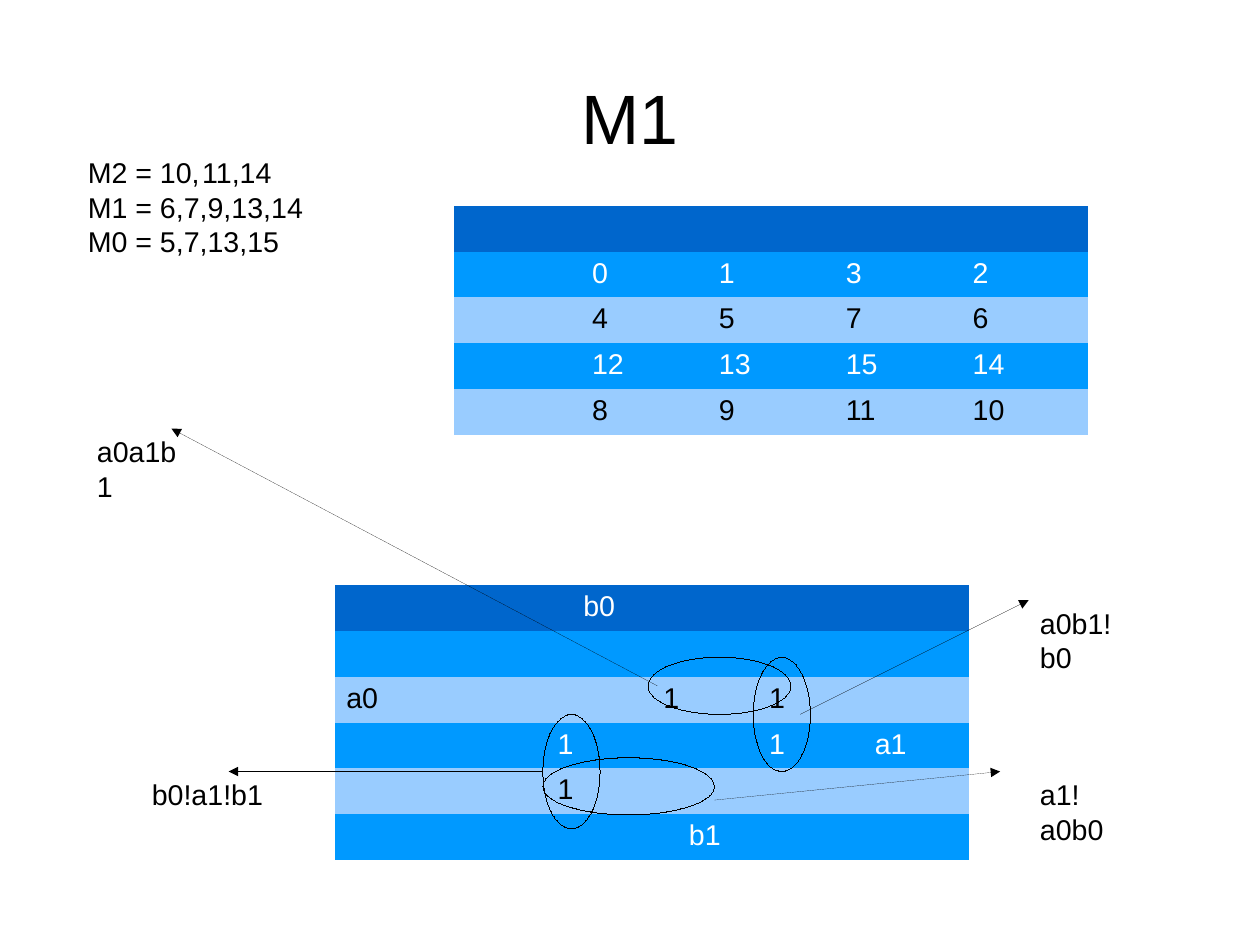
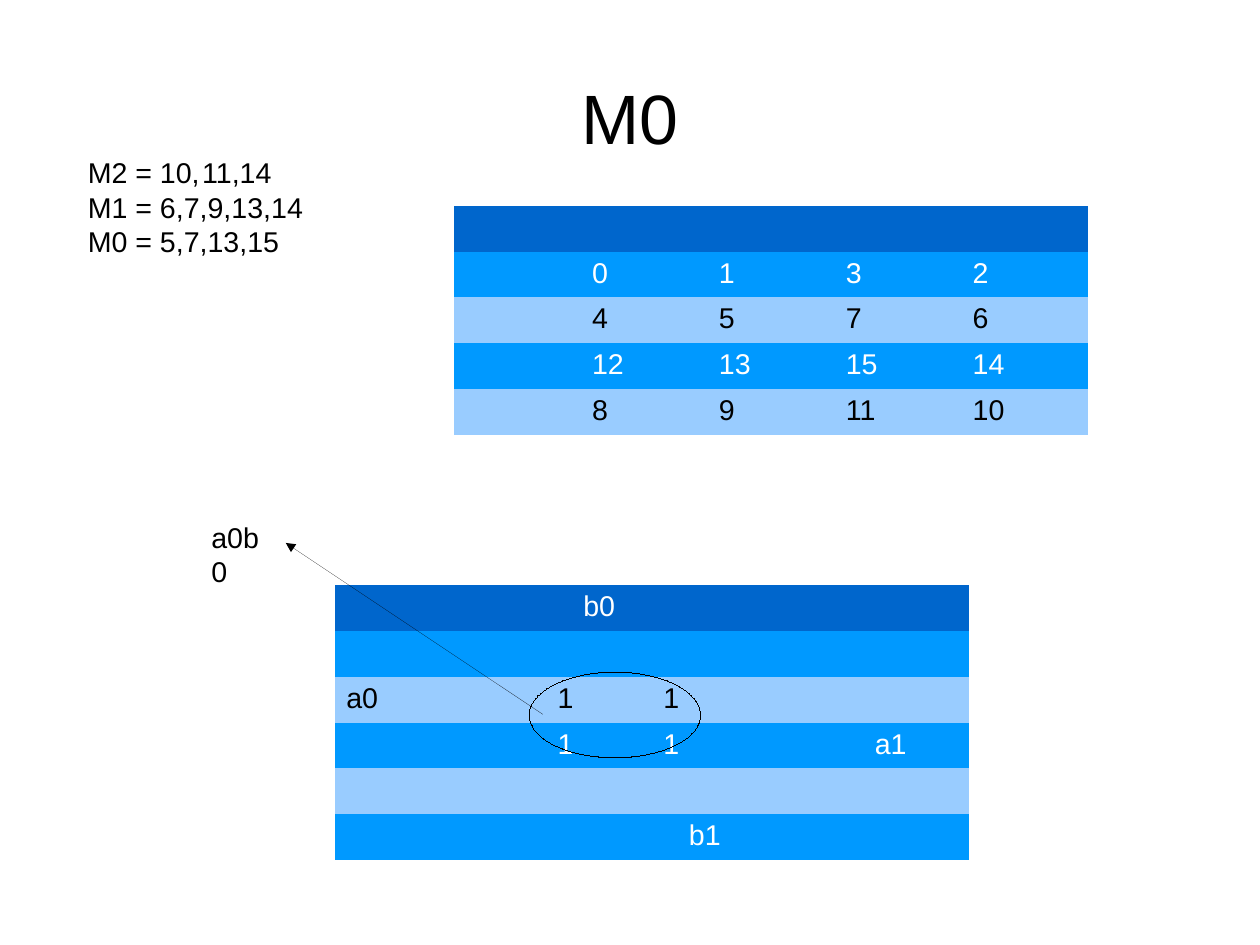
from lxml.etree import SubElement
from pptx import Presentation
from pptx.dml.color import RGBColor
from pptx.enum.shapes import MSO_CONNECTOR, MSO_SHAPE
from pptx.enum.text import MSO_ANCHOR, MSO_AUTO_SIZE, PP_ALIGN
from pptx.oxml.ns import qn
from pptx.util import Cm, Inches, Pt

BLACK = RGBColor(0x00, 0x00, 0x00)
WHITE = RGBColor(0xFF, 0xFF, 0xFF)
HEADER_BLUE = RGBColor(0x00, 0x66, 0xCC)
ROW_BLUE = RGBColor(0x00, 0x99, 0xFF)
PALE_BLUE = RGBColor(0x99, 0xCC, 0xFF)
PLAIN_TABLE_STYLE = "{2D5ABB26-0587-4C30-8999-92F81FD0307C}"
BODY = {"name": "Arial", "size": Pt(18)}
TITLE = {"name": "Arial", "size": Pt(44)}
LABEL_FRAME = {"word_wrap": False, "auto_size": MSO_AUTO_SIZE.SHAPE_TO_FIT_TEXT}
TITLE_FRAME = {
    "word_wrap": True,
    "auto_size": MSO_AUTO_SIZE.NONE,
    "vertical_anchor": MSO_ANCHOR.MIDDLE,
    "margin_left": 0,
    "margin_top": 0,
    "margin_right": 0,
    "margin_bottom": 0,
}
ROW_HEIGHT = 0.4

TITLE_BOX = (0.55, 0.38, 9.92, 1.28)
MINTERM_BOX = (0.67, 1.31, 2.08, 0.94)
INDEX_BOX = (3.97, 1.8, 5.55)
MAP_BOX = (2.93, 5.12, 5.55)

MINTERMS = ["M2 = 10,\t11,14", "M1 = 6,7,9,13,14", "M0 = 5,7,13,15"]
INDEX_ROWS = [
    ["", "", "", "", ""],
    ["", "0", "1", "3", "2"],
    ["", "4", "5", "7", "6"],
    ["", "12", "13", "15", "14"],
    ["", "8", "9", "11", "10"],
]
MAP_HEADINGS = {(0, 2): "b0", (2, 0): "a0", (3, 5): "a1", (5, 3): "b1"}

SLIDES = [
    {
        "title": "M1",
        "ones": [(2, 3), (2, 4), (3, 2), (3, 4), (4, 2)],
        "terms": [
            ("a0a1b1", 1.03, (5.67, 5.75, 1.25, 0.5), (0.08, 0.25), (-4.17, -2), (-4.92, -2)),
            ("b0!a1!b1", 1.17, (4.75, 6.25, 0.5, 1), (0, 0.5), (-2.75, 0.5), (-3.52, 0.5)),
            ("a0b1!b0", 1.1, (6.59, 5.75, 0.5, 1), (0.41, 0.5), (2.41, -0.5), (2.41, -0.5)),
            ("a1!a0b0", 1.1, (4.75, 6.63, 1.5, 0.5), (1.5, 0.37), (4, 0.12), (4.25, 0.12)),
        ],
    },
    {
        "title": "M0",
        "ones": [(2, 2), (2, 3), (3, 2), (3, 3)],
        "terms": [
            ("a0b0", 0.75, (4.63, 5.88, 1.5, 0.75), (0.12, 0.37), (-2.13, -1.13), (-2.88, -1.38)),
        ],
    },
]


def inches(values):
    """Convert a sequence of numbers to lengths."""
    return [Inches(value) for value in values]


def style_paragraph(paragraph, font_format, color, align=PP_ALIGN.LEFT):
    """Apply font values, colour and alignment to a paragraph."""
    paragraph.alignment = align
    for name, value in font_format.items():
        setattr(paragraph.font, name, value)
    paragraph.font.color.rgb = color


def add_text(slide, box, lines, font_format=BODY, frame_format=LABEL_FRAME, align=PP_ALIGN.LEFT):
    """Place lines of text in a box, one paragraph each."""
    frame = slide.shapes.add_textbox(*inches(box)).text_frame
    for name, value in frame_format.items():
        setattr(frame, name, value)
    frame.text = "\n".join(lines)
    for paragraph in frame.paragraphs:
        style_paragraph(paragraph, font_format, BLACK, align)


def add_grid(slide, box, rows, centred=()):
    """Place a banded table with equal columns and rows."""
    left, top, width = box
    row_count, column_count = len(rows), len(rows[0])
    size = inches((left, top, width, ROW_HEIGHT * row_count))
    table = slide.shapes.add_table(row_count, column_count, *size).table
    table._tbl.tblPr.find(qn("a:tableStyleId")).text = PLAIN_TABLE_STYLE
    table.first_row = table.horz_banding = False
    for row_index, row in enumerate(rows):
        pale = row_index > 0 and row_index % 2 == 0
        fill = PALE_BLUE if pale else ROW_BLUE if row_index else HEADER_BLUE
        for column_index, text in enumerate(row):
            cell = table.cell(row_index, column_index)
            cell.fill.solid()
            cell.fill.fore_color.rgb = fill
            cell.text = text
            align = PP_ALIGN.CENTER if text in centred else PP_ALIGN.LEFT
            style_paragraph(cell.text_frame.paragraphs[0], BODY,
                            BLACK if pale else WHITE, align)


def add_map(slide, box, ones):
    """Place the Karnaugh map with its variable headings and ones."""
    entries = {**MAP_HEADINGS, **{position: "1" for position in ones}}
    rows = [[entries.get((row, column), "") for column in range(6)] for row in range(6)]
    add_grid(slide, box, rows, centred=("b0", "b1"))


def style_hairline(line):
    """Give a line the thinnest black stroke and return its element."""
    line.color.rgb = BLACK
    element = line._get_or_add_ln()
    element.set("w", "0")
    return element


def add_arrow(slide, start, end):
    """Draw a hairline arrow with a triangle at its end."""
    arrow = slide.shapes.add_connector(MSO_CONNECTOR.STRAIGHT, *inches(start + end))
    SubElement(style_hairline(arrow.line), qn("a:tailEnd"), type="triangle")
    SubElement(arrow._element.spPr, qn("a:effectLst"))


def add_term(slide, label, label_width, box, start, end, label_offset):
    """Circle a group of ones and point to its term, with offsets from the loop box."""
    loop = slide.shapes.add_shape(MSO_SHAPE.OVAL, *inches(box))
    loop.shadow.inherit = False
    loop.fill.background()
    style_hairline(loop.line)
    start, end, corner = [(box[0] + x, box[1] + y) for x, y in (start, end, label_offset)]
    add_arrow(slide, start, end)
    add_text(slide, (*corner, label_width, 0.38), [label])


def build_slide(presentation, title, ones, terms):
    """Build one minimisation slide."""
    slide = presentation.slides.add_slide(presentation.slide_layouts[6])
    add_text(slide, TITLE_BOX, [title], TITLE, TITLE_FRAME, PP_ALIGN.CENTER)
    add_text(slide, MINTERM_BOX, MINTERMS)
    add_grid(slide, INDEX_BOX, INDEX_ROWS)
    add_map(slide, MAP_BOX, ones)
    for term in terms:
        add_term(slide, *term)


def main():
    """Build and save the presentation."""
    presentation = Presentation()
    presentation.slide_width, presentation.slide_height = Cm(28), Cm(21)
    presentation.element.sldSz.attrib.pop("type", None)
    for content in SLIDES:
        build_slide(presentation, **content)
    presentation.save("out.pptx")


if __name__ == "__main__":
    main()
